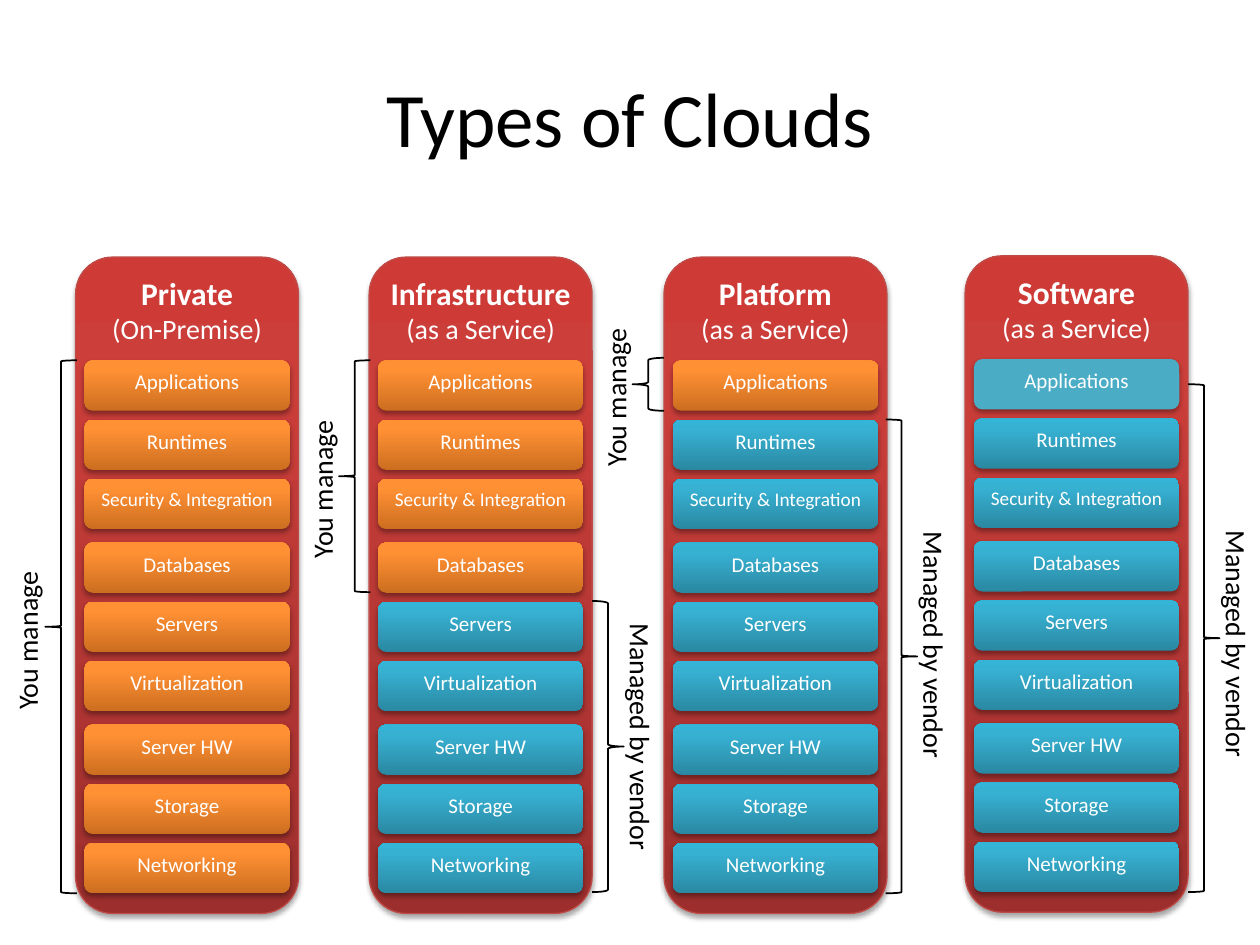
from copy import deepcopy

from pptx import Presentation
from pptx.dml.color import RGBColor
from pptx.enum.shapes import MSO_SHAPE
from pptx.enum.text import MSO_ANCHOR, MSO_AUTO_SIZE, PP_ALIGN
from pptx.oxml import parse_xml
from pptx.oxml.ns import nsdecls, qn
from pptx.util import Inches, Pt

BLACK = RGBColor(0x00, 0x00, 0x00)
WHITE = RGBColor(0xFF, 0xFF, 0xFF)
PILLAR_EDGE = RGBColor(0xBF, 0x4C, 0x48)
FLAT_BLUE = RGBColor(0x4B, 0xAC, 0xC6)
# Gradients run from the bottom edge to the top edge
RED = (RGBColor(0x9C, 0x2F, 0x2D), RGBColor(0xCB, 0x3E, 0x3A), RGBColor(0xCE, 0x3B, 0x37))
ORANGE = (RGBColor(0xCC, 0x6E, 0x20), RGBColor(0xFF, 0x90, 0x34), RGBColor(0xFF, 0x91, 0x36))
BLUE = (RGBColor(0x2A, 0x88, 0xA2), RGBColor(0x37, 0xB1, 0xD2), RGBColor(0x34, 0xB4, 0xD6))
GRADIENT_POSITIONS = (0, 0.8, 1)

SHADOW = (
    f'<a:outerShdw {nsdecls("a")} blurRad="{Pt(3.1)}" dist="{Pt(1.8)}" dir="5400000" '
    'rotWithShape="0"><a:srgbClr val="000000"><a:alpha val="35000"/></a:srgbClr></a:outerShdw>'
)

LAYERS = (
    "Applications", "Runtimes", "Security & Integration",
    "Databases", "Servers", "Virtualization",
    "Server HW", "Storage", "Networking",
)
# Name, note, left, top, number of layers you manage, side inset
CLOUDS = (
    ("Private", "(On-Premise)", 0.6, 2.04, 9, 0.1),
    ("Infrastructure", "(as a Service)", 2.93, 2.04, 4, 0),
    ("Platform", "(as a Service)", 5.27, 2.04, 1, 0.1),
    ("Software", "(as a Service)", 7.66, 2.03, 0, 0.1),
)
# Left, top, height, bend, opens to the left
BRACES = (
    (0.36, 2.86, 4.23, 0.037, False),
    (2.69, 2.86, 1.84, 0.037, False),
    (4.7, 4.77, 2.31, 0.074, True),
    (5.02, 2.84, 0.42, 0.074, False),
    (7.03, 3.33, 3.76, 0.037, True),
    (9.43, 3.05, 4.03, 0.037, True),
)
# Text, left, top, height, reading direction
YOU, VENDOR = "You manage", "Managed by vendor"
LABELS = (
    (YOU, 0.03, 4.45, 1.28, "vert270"),
    (YOU, 2.37, 3.06, 1.47, "vert270"),
    (YOU, 4.7, 2.52, 1.28, "vert270"),
    (VENDOR, 4.79, 4.85, 2.03, "eaVert"),
    (VENDOR, 7.12, 4.12, 2.03, "eaVert"),
    (VENDOR, 9.52, 4.11, 2.03, "eaVert"),
)


class CloudPage:
    font = "Calibri"

    def __init__(self, page):
        self.page = page

    def add_span(self, para, text, size, color, bold=False):
        span = para.add_run()
        span.text = text
        span.font.name = self.font
        span.font.size = Pt(size)
        span.font.bold = bold
        span.font.color.rgb = color

    def title(self, text):
        box = self.page.shapes.title
        box.left, box.top = Inches(0.5), Inches(0.3)
        box.width, box.height = Inches(9), Inches(1.25)
        box.text_frame.vertical_anchor = MSO_ANCHOR.MIDDLE
        para = box.text_frame.paragraphs[0]
        para.alignment = PP_ALIGN.CENTER
        self.add_span(para, text, 44, BLACK)

    def paint(self, box, paint):
        if isinstance(paint, RGBColor):
            box.fill.solid()
            box.fill.fore_color.rgb = paint
            return
        box.fill.gradient()
        box.fill.gradient_angle = 90
        stop_list = box.element.spPr.find(qn("a:gradFill")).find(qn("a:gsLst"))
        stop_list.append(deepcopy(stop_list[0]))
        for stop, position, color in zip(box.fill.gradient_stops, GRADIENT_POSITIONS, paint):
            stop.position = position
            stop.color.rgb = color

    def panel(self, left, top, width, height, paint, lines, side_inset=0.1):
        """A shadowed rounded panel; lines holds (text, size, bold)."""
        box = self.page.shapes.add_shape(
            MSO_SHAPE.ROUNDED_RECTANGLE,
            Inches(left), Inches(top), Inches(width), Inches(height))
        self.paint(box, paint)
        box.line.fill.background()
        box.shadow.inherit = False
        box.element.spPr.find(qn("a:effectLst")).append(parse_xml(SHADOW))
        frame = box.text_frame
        frame.word_wrap = True
        frame.vertical_anchor = MSO_ANCHOR.TOP
        frame.margin_left = frame.margin_right = Inches(side_inset)
        for index, (text, size, bold) in enumerate(lines):
            para = frame.add_paragraph() if index else frame.paragraphs[0]
            para.alignment = PP_ALIGN.CENTER
            self.add_span(para, text, size, WHITE, bold)
        return box

    def cloud(self, name, note, left, top, managed, side_inset):
        pillar = self.panel(left, top, 1.77, 5.21, RED,
                            [(name, 18, True), (note, 16, False)], side_inset)
        pillar.line.color.rgb = PILLAR_EDGE
        pillar.line.width = Pt(0.75)
        for index, layer in enumerate(LAYERS):
            # Layers stand in three sets of three
            group, row = divmod(index, 3)
            layer_top = top + 0.82 + group * 1.445 + row * 0.47
            if index < managed:
                paint = ORANGE
            else:
                paint = BLUE if managed or index else FLAT_BLUE
            size = 11 if len(layer) > 20 else 12
            self.panel(left + 0.07, layer_top, 1.63, 0.4, paint, [(layer, size, False)])

    def brace(self, left, top, height, bend, flipped):
        brace = self.page.shapes.add_shape(
            MSO_SHAPE.LEFT_BRACE, Inches(left), Inches(top), Inches(0.25), Inches(height))
        brace.adjustments[0] = bend
        brace.adjustments[1] = 0.5
        brace.fill.background()
        brace.line.color.rgb = BLACK
        brace.line.width = Pt(1)
        brace.shadow.inherit = False
        if flipped:
            brace.element.spPr.find(qn("a:xfrm")).set("flipH", "1")

    def label(self, text, left, top, height, direction):
        box = self.page.shapes.add_textbox(
            Inches(left), Inches(top), Inches(0.48), Inches(height))
        frame = box.text_frame
        frame.word_wrap = height == 1.47
        frame.auto_size = MSO_AUTO_SIZE.SHAPE_TO_FIT_TEXT
        box.element.txBody.find(qn("a:bodyPr")).set("vert", direction)
        self.add_span(frame.paragraphs[0], text, 16, BLACK)


def main():
    deck = Presentation()
    deck.slide_width, deck.slide_height = Inches(10), Inches(7.5)
    sheet = CloudPage(deck.slides.add_slide(deck.slide_layouts[5]))
    sheet.title("Types of Clouds")

    # Pillars with their layers
    for cloud in CLOUDS:
        sheet.cloud(*cloud)

    # Who manages what
    for brace in BRACES:
        sheet.brace(*brace)
    for label in LABELS:
        sheet.label(*label)

    deck.save("out.pptx")


if __name__ == "__main__":
    main()
